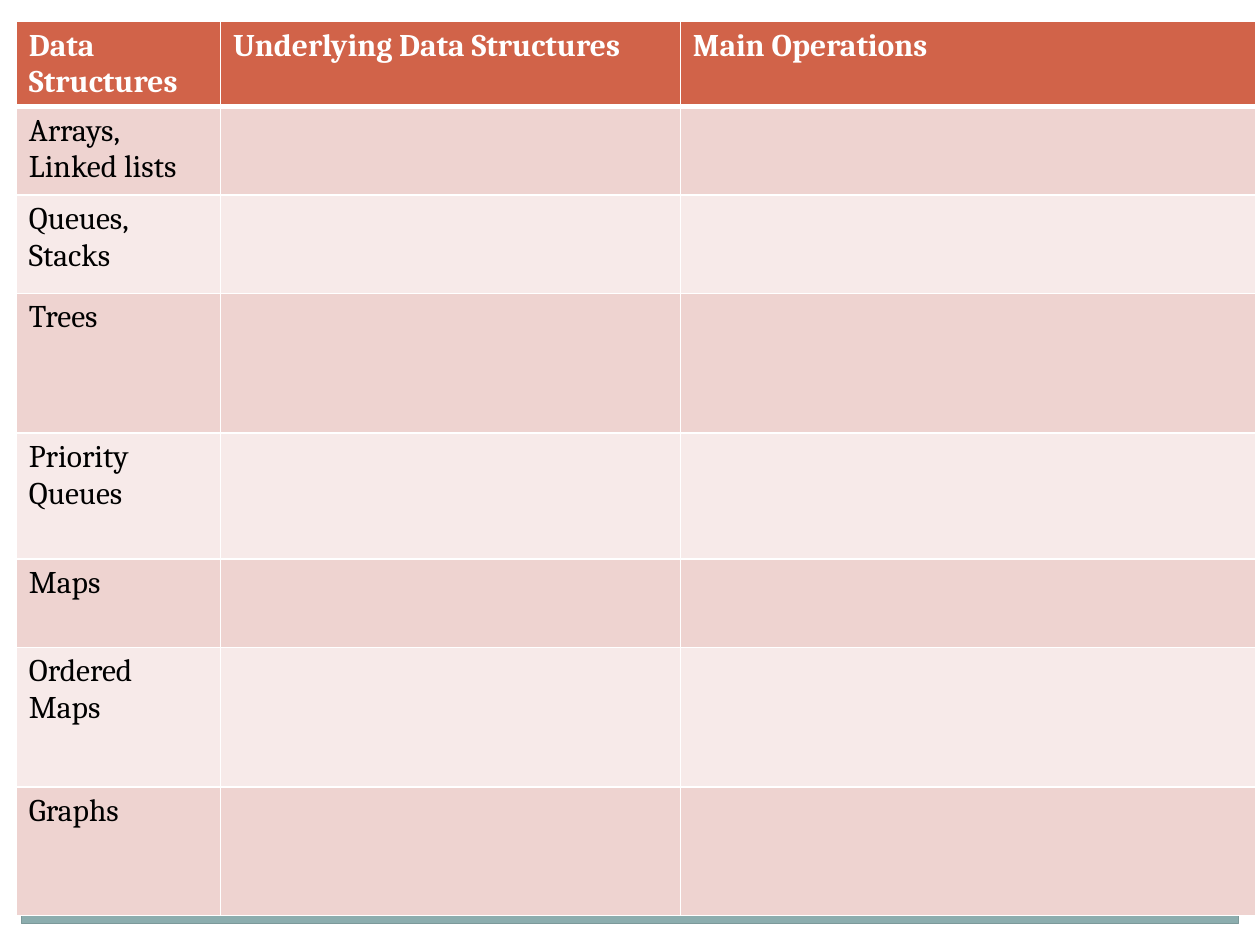
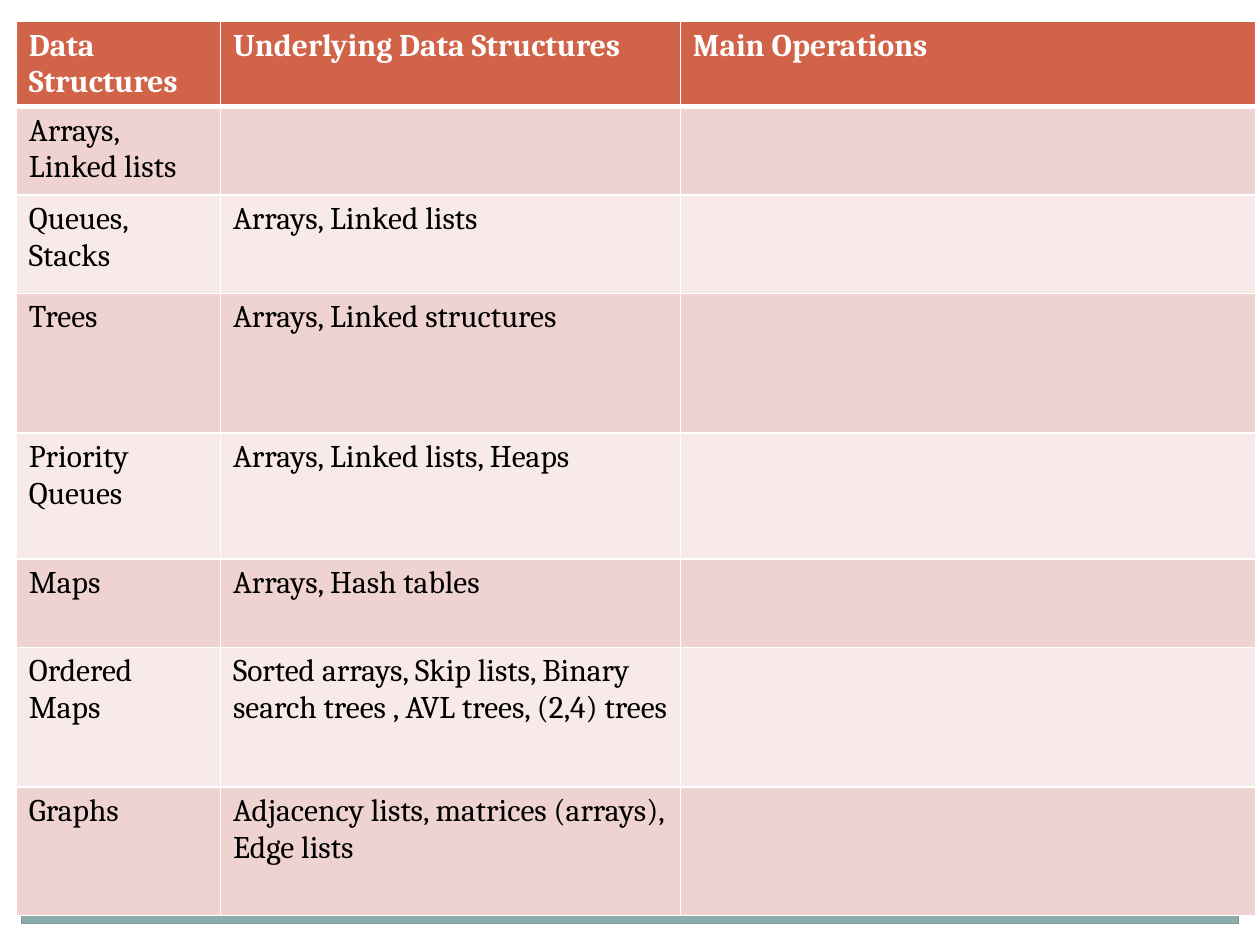
from lxml import etree
from pptx import Presentation
from pptx.dml.color import RGBColor
from pptx.enum import shapes
from pptx.oxml import ns
from pptx.util import Inches, Pt

FONT = "Cambria"
WHITE, BLACK = "FFFFFF", "000000"
TEAL, DARK_TEAL = "8CADAE", "7C999A"
HEADER_FILL, BAND_FILLS = "D16349", ("EED3D0", "F7EAE9")

SLIDE_BOX = (0, 0, 10, 7.5)
TABLE_BOX = (0.13, 0.17, 9.84, 7.09)
COLUMN_WIDTHS = (1.62, 3.65, 4.57)
ROW_HEIGHTS = (0.67, 0.7, 0.78, 1.11, 1, 0.7, 1.11, 1.02)

HEADINGS = ("Data Structures", "Underlying Data Structures", "Main Operations")
STRUCTURES = ("Arrays, Linked lists", "Queues, Stacks", "Trees", "Priority Queues",
              "Maps", "Ordered Maps", "Graphs")
UNDERLYING = (
    "",
    "Arrays, Linked lists",
    "Arrays, Linked structures",
    "Arrays, Linked lists, Heaps",
    "Arrays, Hash tables",
    "Sorted arrays, Skip lists, Binary search trees , AVL trees, (2,4) trees",
    "Adjacency lists, matrices (arrays), Edge lists",
)


def color(hex_value):
    return RGBColor.from_string(hex_value)


def write(frame, content, size=18, font_color=BLACK, bold=False):
    run = frame.paragraphs[0].add_run()
    run.text = content
    run.font.name, run.font.size, run.font.bold = FONT, Pt(size), bold
    run.font.color.rgb = color(font_color)


def add_rectangle(slide, box, fill=None, line=None):
    shape = slide.shapes.add_shape(shapes.MSO_SHAPE.RECTANGLE, *map(Inches, box))
    shape.shadow.inherit = False
    if fill:
        shape.fill.solid()
        shape.fill.fore_color.rgb = color(fill)
    else:
        shape.fill.background()
    if line:
        shape.line.color.rgb = color(line)
        shape.line.width = Pt(0.75)
    else:
        shape.line.fill.background()
    return shape


def draw_frame(slide, box):
    """Draw the white margins, the bottom band and the outline."""
    left, top, width, height = box
    right, bottom, margin = left + width, top + height, 0.17
    inner_left, inner_width = left + margin, width - 2 * margin
    band_height = 0.34

    margins = (
        (left, bottom - margin, width, margin),
        (left, top, width, margin),
        (left, top, margin, height),
        (right - margin, top, margin, height),
    )
    parts = [add_rectangle(slide, strip, fill=WHITE) for strip in margins]
    band = (inner_left, bottom - margin - band_height, inner_width, band_height)
    parts.append(add_rectangle(slide, band, fill=TEAL))
    outline = (inner_left, top + margin, inner_width, height - 2 * margin)
    parts.append(add_rectangle(slide, outline, line=DARK_TEAL))
    return parts


def move_to_layout(parts, layout):
    """Put the shapes behind the layout's placeholders, so every slide shows them."""
    tree = layout.element.cSld.spTree
    for index, part in enumerate(parts):
        part.element.xpath(".//p:cNvPr")[0].set("id", str(100 + index))
        tree.insert(2 + index, part.element)


def set_borders(cell, **widths):
    """Draw white borders, 1 pt wide unless a side (L, R, T, B) is given a width."""
    properties = cell._tc.get_or_add_tcPr()
    for side in ("L", "R", "T", "B"):
        line = etree.SubElement(properties, ns.qn(f"a:ln{side}"),
                                w=str(Pt(widths.get(side, 1))))
        fill = etree.SubElement(line, ns.qn("a:solidFill"))
        etree.SubElement(fill, ns.qn("a:srgbClr"), val=WHITE)


def add_structure_table(slide, box, underlying):
    rows = [HEADINGS] + [(name, base, "") for name, base in zip(STRUCTURES, underlying)]
    table = slide.shapes.add_table(len(rows), len(HEADINGS), *map(Inches, box)).table
    for column, width in zip(table.columns, COLUMN_WIDTHS):
        column.width = Inches(width)
    for row_index, (values, height) in enumerate(zip(rows, ROW_HEIGHTS)):
        table.rows[row_index].height = Inches(height)
        is_header = row_index == 0
        for column_index, value in enumerate(values):
            cell = table.cell(row_index, column_index)
            set_borders(cell, B=3 if is_header else 1, T=3 if row_index == 1 else 1)
            cell.fill.solid()
            cell.fill.fore_color.rgb = color(
                HEADER_FILL if is_header else BAND_FILLS[(row_index - 1) % 2])
            if value:
                write(cell.text_frame, value, bold=is_header,
                      font_color=WHITE if is_header else BLACK)


def main():
    presentation = Presentation()
    presentation.slide_width, presentation.slide_height = map(Inches, SLIDE_BOX[2:])
    layout = presentation.slide_layouts.get_by_name("Blank")

    slides = [presentation.slides.add_slide(layout) for _ in range(2)]
    move_to_layout(draw_frame(slides[0], SLIDE_BOX), layout)
    for slide, underlying in zip(slides, ([""] * len(STRUCTURES), UNDERLYING)):
        add_structure_table(slide, TABLE_BOX, underlying)
    presentation.save("out.pptx")


if __name__ == "__main__":
    main()
